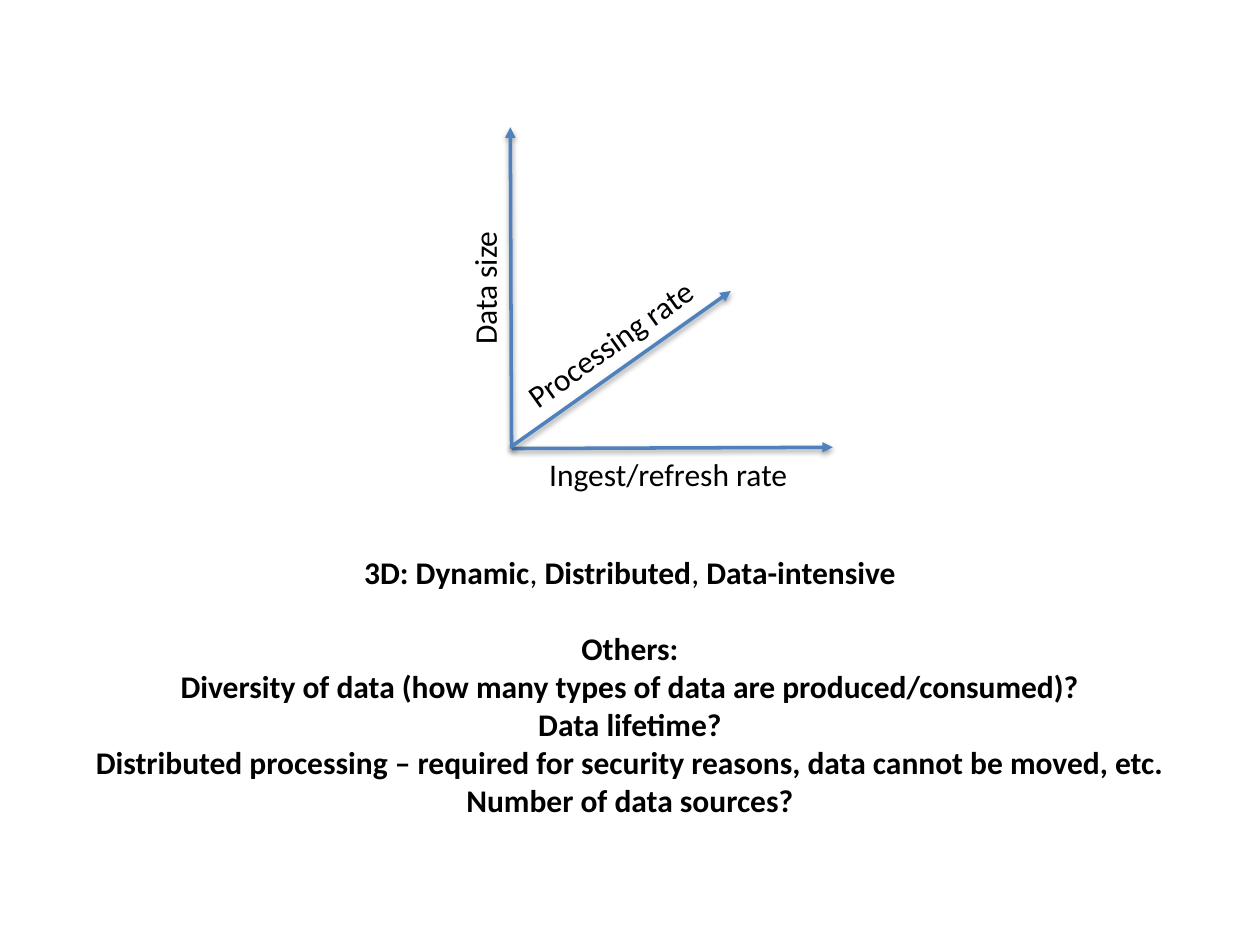
from lxml import etree
from pptx import Presentation
from pptx.dml.color import RGBColor
from pptx.enum.shapes import MSO_CONNECTOR
from pptx.enum.text import MSO_AUTO_SIZE, PP_ALIGN
from pptx.oxml import parse_xml
from pptx.oxml.ns import nsdecls, qn
from pptx.util import Inches, Pt

STRAIGHT = MSO_CONNECTOR.STRAIGHT
LEFT, CENTER = PP_ALIGN.LEFT, PP_ALIGN.CENTER
FIT_SHAPE = MSO_AUTO_SIZE.SHAPE_TO_FIT_TEXT

BLUE = RGBColor(0x4F, 0x81, 0xBD)
BLACK = RGBColor(0, 0, 0)
BLANK_LAYOUT = 6
LINE_HEIGHT = Pt(22)

SHADOW_XML = (
    f'<a:effectLst {nsdecls("a")}>'
    '<a:outerShdw blurRad="40000" dist="20000" dir="5400000" rotWithShape="0">'
    '<a:srgbClr val="000000"><a:alpha val="38000"/></a:srgbClr>'
    '</a:outerShdw></a:effectLst>'
)


class SlideBuilder:
    font_format = {"name": "Calibri", "size": Pt(18)}

    def __init__(self, slide):
        self.slide = slide

    def arrow(self, start, end):
        points = [Inches(value) for value in (*start, *end)]
        connector = self.slide.shapes.add_connector(STRAIGHT, *points)
        connector.line.color.rgb = BLUE
        connector.line.width = Pt(2)
        line = connector.line._get_or_add_ln()
        etree.SubElement(line, qn("a:tailEnd"), type="triangle")
        connector._element.spPr.append(parse_xml(SHADOW_XML))

    def text(self, box, paragraphs, wrap=False, rotation=0, alignment=LEFT):
        """Each paragraph is a list of (text, bold) runs and the space before it."""
        shape = self.slide.shapes.add_textbox(*(Inches(value) for value in box))
        shape.rotation = rotation
        frame = shape.text_frame
        frame.word_wrap = wrap
        frame.auto_size = FIT_SHAPE
        for index, (runs, space_before) in enumerate(paragraphs):
            paragraph = frame.add_paragraph() if index else frame.paragraphs[0]
            paragraph.alignment = alignment
            paragraph.space_before = space_before
            for text, bold in runs:
                run = paragraph.add_run()
                run.text = text
                for name, value in {**self.font_format, "bold": bold}.items():
                    setattr(run.font, name, value)
                run.font.color.rgb = BLACK


def main():
    presentation = Presentation()
    presentation.slide_width = Inches(10)
    presentation.slide_height = Inches(7.5)
    layout = presentation.slide_layouts[BLANK_LAYOUT]
    builder = SlideBuilder(presentation.slides.add_slide(layout))

    # Three axes and their labels
    axes = [
        ((4.06, 3.56), (4.05, 1.01), "Data size", (3.29, 2.08, 1.11, 0.4), 270),
        ((4.06, 3.56), (6.61, 3.55), "Ingest/refresh rate", (4.26, 3.56, 2.11, 0.4), 0),
        ((4.05, 3.55), (5.8, 2.31), "Processing rate", (3.97, 2.52, 1.75, 0.4), 324.5),
    ]
    for start, end, label, box, rotation in axes:
        builder.arrow(start, end)
        builder.text(box, [([(label, False)], 0)], rotation=rotation)

    # Summary, then the other dimensions one line below
    summary = [("3D: Dynamic", True), (", ", False), ("Distributed", True),
               (", ", False), ("Data-intensive", True)]
    others = [
        "Diversity of data (how many types of data are produced/consumed)?",
        "Data lifetime?",
        "Distributed processing – required for security reasons, data cannot be moved, etc.",
        "Number of data sources?",
    ]
    paragraphs = [(summary, 0), ([("Others:", True)], LINE_HEIGHT)]
    paragraphs += [([(question, True)], 0) for question in others]
    builder.text((0, 4.34, 10, 2.22), paragraphs, wrap=True, alignment=CENTER)

    presentation.save("out.pptx")


if __name__ == "__main__":
    main()
